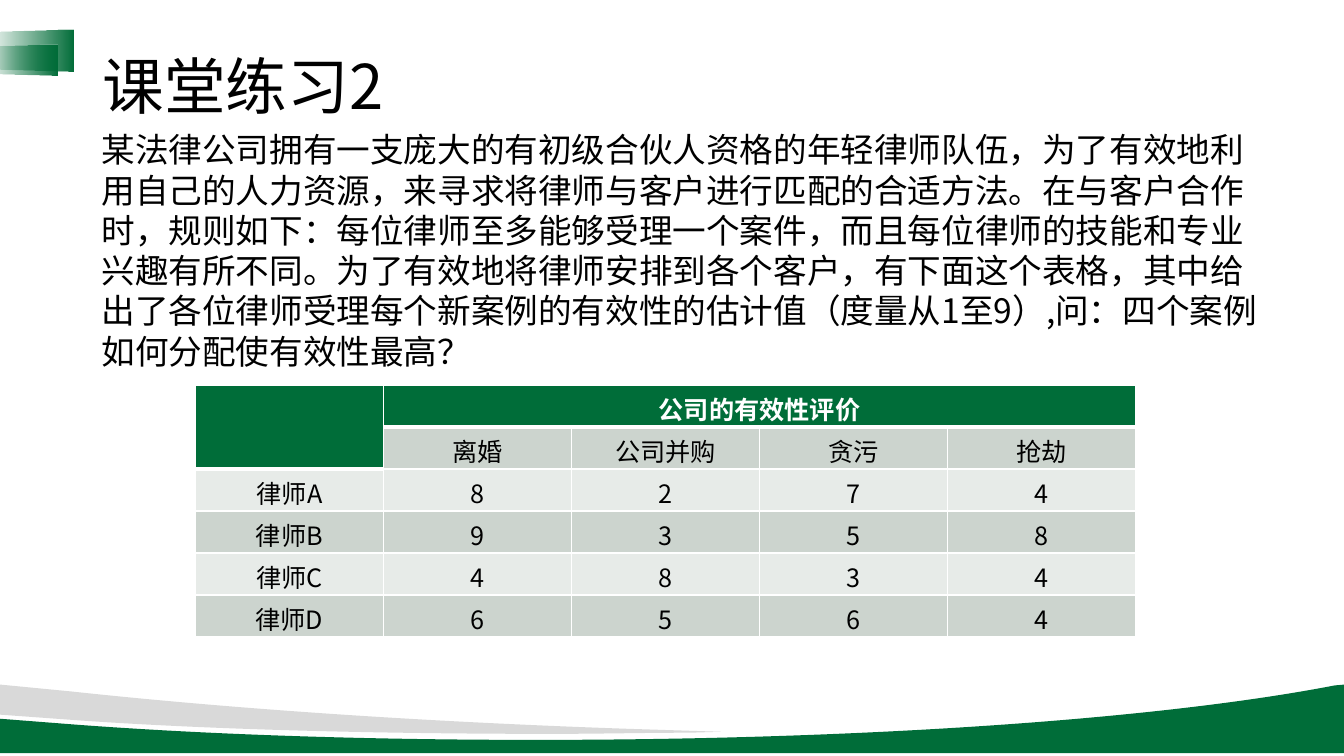
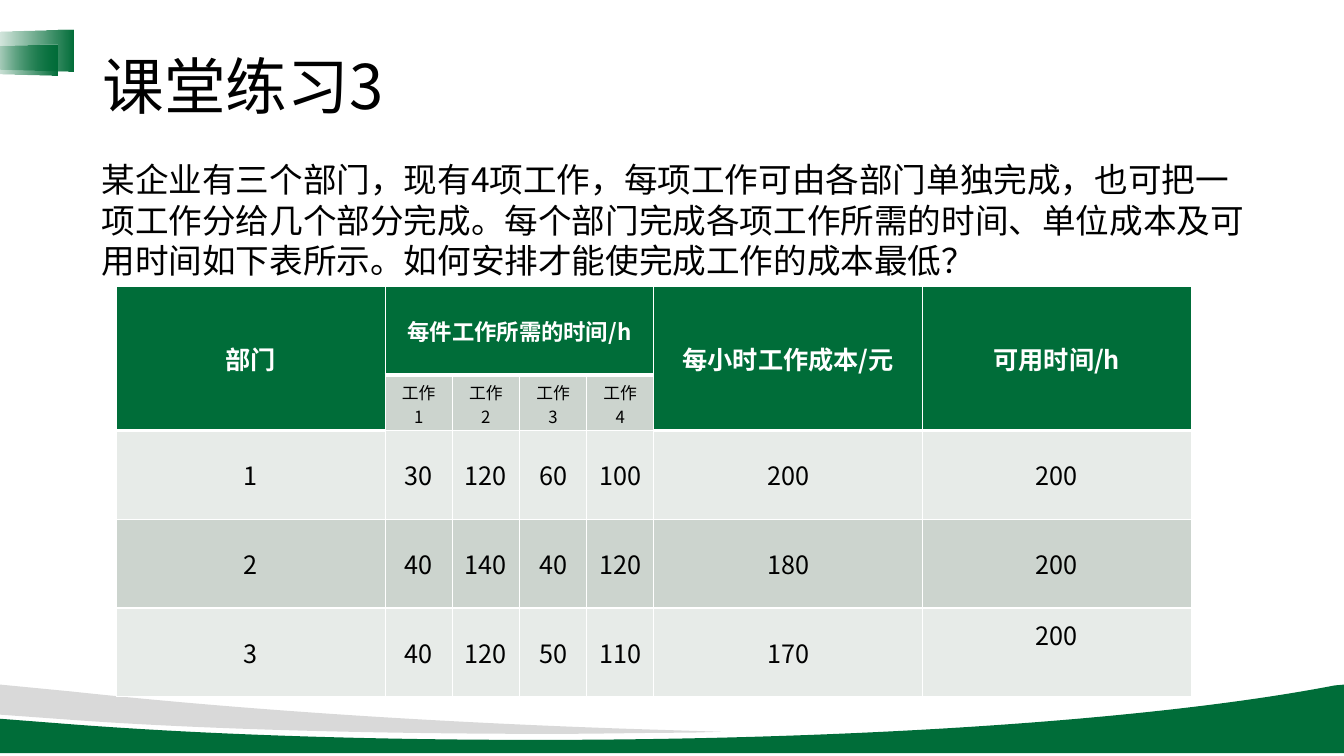
from dataclasses import dataclass

from lxml.etree import SubElement
from pptx import Presentation
from pptx.dml.color import RGBColor
from pptx.enum.shapes import MSO_SHAPE as Preset
from pptx.enum.text import MSO_ANCHOR as Anchor, MSO_AUTO_SIZE as AutoSize, PP_ALIGN as Align
from pptx.oxml.ns import qn
from pptx.util import Pt


@dataclass(frozen=True)
class Theme:
    font: str = "Noto Sans CJK SC"
    green: str = "006D39"
    grey: str = "D9D9D9"
    ink: str = "000000"
    white: str = "FFFFFF"
    bands: tuple = ("E7EBE8", "CCD4CE")
    title: int = 44
    body: int = 24
    cell: int = 18
    narrow_header: int = 16
    small: int = 12


THEME = Theme()


def rgb(code):
    return RGBColor.from_string(code)


def write(frame, text, size, color=THEME.ink, bold=False, align=Align.LEFT, spacing=None):
    frame.word_wrap = True
    paragraph = frame.paragraphs[0]
    properties = paragraph._p.get_or_add_pPr()
    properties.set("marL", "0")
    properties.set("indent", "0")
    SubElement(properties, qn("a:buNone"))
    paragraph.alignment = align
    paragraph.space_before = Pt(0)
    paragraph.line_spacing = spacing
    run = paragraph.add_run()
    run.text = text
    run.font.size = Pt(size)
    run.font.bold = bold
    run.font.name = THEME.font
    run.font.color.rgb = rgb(color)
    SubElement(run._r.get_or_add_rPr(), qn("a:ea")).set("typeface", THEME.font)


def place(shape, left, top, width, height):
    shape.left, shape.top = Pt(left), Pt(top)
    shape.width, shape.height = Pt(width), Pt(height)


def bend(line, controls, left, top):
    curve = line.makeelement(qn("a:cubicBezTo"), {})
    for x, y in controls:
        SubElement(curve, qn("a:pt"), x=str(Pt(x) - left), y=str(Pt(y) - top))
    curve.append(line[0])
    line.getparent().replace(line, curve)


def border(cell, bottom):
    properties = cell._tc.get_or_add_tcPr()
    for index, (side, width) in enumerate((("L", 1), ("R", 1), ("T", 1), ("B", bottom))):
        line = properties.makeelement(qn(f"a:ln{side}"), {"w": str(Pt(width))})
        fill = SubElement(line, qn("a:solidFill"))
        SubElement(fill, qn("a:srgbClr")).set("val", THEME.white)
        properties.insert(index, line)


class Deck:
    """Holds the exercise deck's style and its current slide."""

    def __init__(self):
        self.show = Presentation()
        self.show.slide_width, self.show.slide_height = Pt(960), Pt(540)
        self.layout = self.show.slide_layouts[1]
        for footer in list(self.layout.placeholders)[2:]:
            footer.element.getparent().remove(footer.element)
        self.slide = None

    def add_slide(self, title):
        first = self.slide is None
        self.slide = self.show.slides.add_slide(self.layout)
        if first:
            self.decorate_layout()
        heading = self.slide.shapes.title
        place(heading, 66, 28.8, 828, 70.6)
        heading.text_frame.vertical_anchor = Anchor.MIDDLE
        write(heading.text_frame, title, THEME.title, spacing=0.9)

    def decorate_layout(self):
        hill = [
            [(960, 489)], [(960, 538)], [(0, 538)], [(0, 513.4)], [(55.4, 517.7)],
            [(152.6, 524.9), (264.2, 528.5), (383, 528.5)],
            [(620.6, 528.5), (830.2, 513.4), (953.3, 489.6)],
        ]
        ribbon = [
            [(0, 489)], [(50.4, 493.9)],
            [(164.9, 506.2), (300.2, 515.5), (447.8, 520.6)],
            [(514.8, 522.7)], [(492.5, 523.4)],
            [(460.8, 523.4), (427.7, 524.2), (394.6, 524.2)],
            [(259.9, 524.2), (138.2, 520.6), (49.7, 514.1)],
            [(0, 510.5)],
        ]
        decorations = [
            self.outline(hill, THEME.green),
            self.outline(ribbon, THEME.grey),
            self.tab(5.8, 4.3, 29.5, 63.4),
            self.tab(4.1, 16.6, 21.6, 52.6),
        ]
        for decoration in decorations:
            self.layout.shapes.element.append(decoration.element)

    def outline(self, segments, color):
        ends = [(Pt(x), Pt(y)) for *_, (x, y) in segments]
        builder = self.slide.shapes.build_freeform(*ends[0])
        builder.add_line_segments(ends[1:], close=True)
        shape = builder.convert_to_shape()
        for line, segment in zip(list(shape.element.iter(qn("a:lnTo"))), segments[1:]):
            if len(segment) > 1:
                bend(line, segment[:-1], shape.left, shape.top)
        shape.shadow.inherit = False
        shape.fill.solid()
        shape.fill.fore_color.rgb = rgb(color)
        shape.line.fill.background()
        return shape

    def tab(self, left, top, width, height):
        shape = self.slide.shapes.add_shape(
            Preset.TRAPEZOID, Pt(left), Pt(top), Pt(width), Pt(height))
        shape.rotation = 270
        shape.adjustments[0] = 0.07
        shape.shadow.inherit = False
        shape.line.fill.background()
        shape.fill.gradient()
        shape.fill.gradient_angle = 0
        for stop in shape.fill.gradient_stops:
            stop.color.rgb = rgb(THEME.green)
        gradient = shape.element.spPr.find(qn("a:gradFill"))
        gradient.set("rotWithShape", "0")
        clear = next(gradient.iter(qn("a:srgbClr")))
        SubElement(clear, qn("a:alpha")).set("val", "0")
        return shape

    def body(self, text, top, height):
        question = self.slide.placeholders[1]
        place(question, 65.3, top, 841, height)
        frame = question.text_frame
        frame.auto_size = AutoSize.NONE
        frame.margin_top = Pt(3.6)
        write(frame, text, THEME.body, spacing=Pt(28.8))

    def table(self, left, top, widths, heights, headers, rows,
              anchor=Anchor.MIDDLE, label_size=THEME.cell, padding=3.6):
        grid = self.slide.shapes.add_table(
            len(heights), len(widths), Pt(left), Pt(top), Pt(sum(widths)), Pt(sum(heights))).table
        grid.first_row = grid.horz_banding = False
        for column, width in zip(grid.columns, widths):
            column.width = Pt(width)
        for row, height in zip(grid.rows, heights):
            row.height = Pt(height)
        for text, column, depth, span, size in headers:
            for r in range(depth):
                for c in range(column, column + span):
                    self.cell(grid.cell(r, c), THEME.green, Anchor.MIDDLE, padding, bottom=3)
            head = grid.cell(0, column)
            if depth * span > 1:
                head.merge(grid.cell(depth - 1, column + span - 1))
            self.cell_text(head, text, size, color=THEME.white, bold=True)
        for r, values in enumerate(rows, start=1):
            size = label_size if r == 1 else THEME.cell
            for c, value in enumerate(values):
                if value is not None:
                    cell = grid.cell(r, c)
                    self.cell(cell, THEME.bands[r % 2], anchor, padding)
                    self.cell_text(cell, value, size)
        return grid

    def cell(self, cell, fill, anchor, padding, bottom=1):
        cell.fill.solid()
        cell.fill.fore_color.rgb = rgb(fill)
        border(cell, bottom)
        cell.margin_bottom = Pt(padding)
        cell.vertical_anchor = anchor

    def cell_text(self, cell, text, size, **format):
        if size == THEME.small:
            cell.margin_left = cell.margin_right = Pt(10)
            cell.margin_top, cell.margin_bottom = Pt(2.4), 0
        if text:
            write(cell.text_frame, text, size, align=Align.CENTER, **format)


def main():
    deck = Deck()

    deck.add_slide("课堂练习2")
    deck.body(
        "某法律公司拥有一支庞大的有初级合伙人资格的年轻律师队伍，为了有效地利用自己的人力资源，"
        "来寻求将律师与客户进行匹配的合适方法。在与客户合作时，规则如下：每位律师至多能够受理一个案件，"
        "而且每位律师的技能和专业兴趣有所不同。为了有效地将律师安排到各个客户，有下面这个表格，"
        "其中给出了各位律师受理每个新案例的有效性的估计值（度量从1至9）,问：四个案例如何分配使有效性最高？",
        88.6, 181.4)
    deck.table(
        139.6, 275, [134.3] * 5, [30] * 6,
        [("", 0, 2, 1, THEME.cell), ("公司的有效性评价", 1, 1, 4, THEME.cell)],
        [(None, "离婚", "公司并购", "贪污", "抢劫"),
         ("律师A", "8", "2", "7", "4"),
         ("律师B", "9", "3", "5", "8"),
         ("律师C", "4", "8", "3", "4"),
         ("律师D", "6", "5", "6", "4")],
        anchor=Anchor.TOP, padding=0)

    deck.add_slide("课堂练习3")
    deck.body(
        "某企业有三个部门，现有4项工作，每项工作可由各部门单独完成，也可把一项工作分给几个部分完成。"
        "每个部门完成各项工作所需的时间、单位成本及可用时间如下表所示。如何安排才能使完成工作的成本最低？",
        110.2, 94.3)
    departments = deck.table(
        83.2, 204.5, [191.9] + [48] * 4 + [191.9] * 2, [63.4, 39.6] + [63.4] * 3,
        [("部门", 0, 2, 1, THEME.cell),
         ("每件工作所需的时间/h", 1, 1, 4, THEME.narrow_header),
         ("每小时工作成本/元", 5, 2, 1, THEME.cell),
         ("可用时间/h", 6, 2, 1, THEME.cell)],
        [(None, "工作1", "工作2", "工作3", "工作4", None, None),
         ("1", "30", "120", "60", "100", "200", "200"),
         ("2", "40", "140", "40", "120", "180", "200"),
         ("3", "40", "120", "50", "110", "170", "200")],
        label_size=THEME.small)
    last_available = departments.cell(4, 6)
    last_available.vertical_anchor = Anchor.TOP
    last_available.margin_top = Pt(6.2)

    deck.show.save("out.pptx")


if __name__ == "__main__":
    main()
